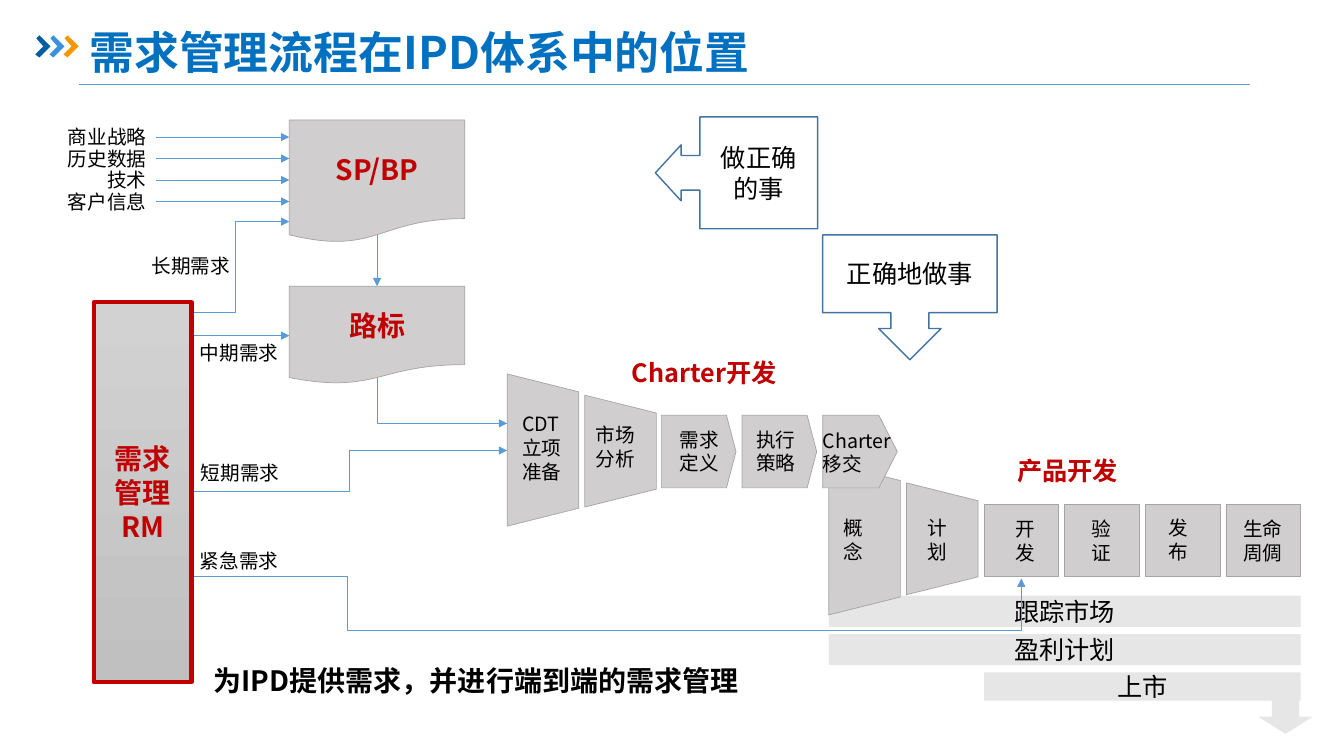
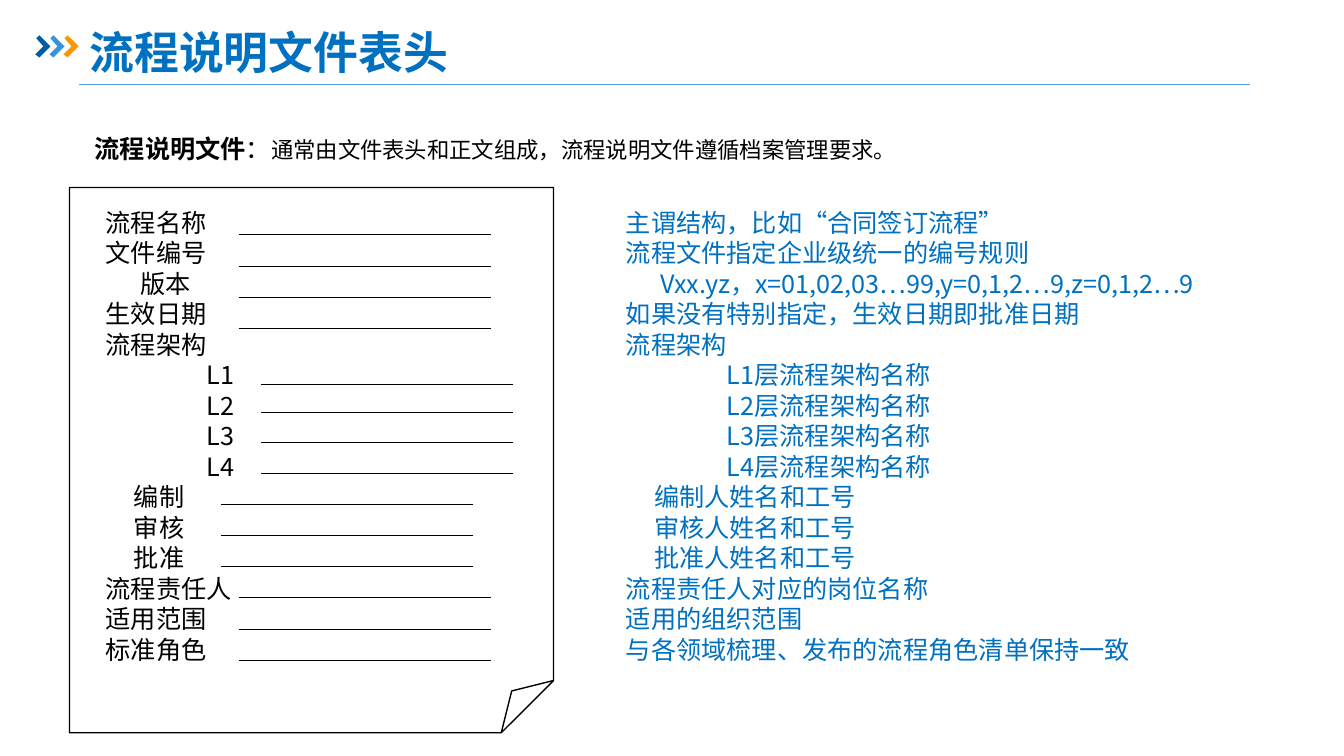
from lxml.etree import SubElement
from pptx import Presentation
from pptx.dml.color import RGBColor
from pptx.enum.shapes import MSO_CONNECTOR as CONN, MSO_SHAPE as SHAPE
from pptx.enum.text import MSO_ANCHOR as ANCHOR, PP_ALIGN as ALIGN
from pptx.oxml.ns import qn
from pptx.util import Inches, Pt

FONT = "Noto Sans CJK SC"
LINE_HEIGHT = 1.21
COLORS = {
    "title": "0070C0", "black": "000000", "red": "C00000", "wire": "5B9BD5",
    "box": "D0CECE", "edge": "A5A5A5", "band": "E7E6E6", "callout": "43739E",
    "grad_top": "D2D2D2", "grad_end": "C0C0C0",
    "chevron_1": "005DA2", "chevron_2": "3992DB", "chevron_3": "F79600",
}
CHEVRON = [(0.36, 0.38), (0.39, 0.35), (0.5, 0.46), (0.39, 0.57), (0.35, 0.54), (0.43, 0.46)]

# Label, note, indent, left and height of the writing line
FIELDS = [
    ("流程名称", "主谓结构，比如“合同签订流程”", 0, 2.37, 2.33),
    ("文件编号", "流程文件指定企业级统一的编号规则", 0, 2.37, 2.64),
    ("版本", "Vxx.yz，x=01,02,03…99,y=0,1,2…9,z=0,1,2…9", 0.34, 2.37, 2.95),
    ("生效日期", "如果没有特别指定，生效日期即批准日期", 0, 2.37, 3.26),
    ("流程架构", "流程架构", 0, None, None),
    ("L1", "L1层流程架构名称", 1, 2.59, 3.81),
    ("L2", "L2层流程架构名称", 1, 2.59, 4.09),
    ("L3", "L3层流程架构名称", 1, 2.59, 4.39),
    ("L4", "L4层流程架构名称", 1, 2.59, 4.7),
    ("编制", "编制人姓名和工号", 0.28, 2.19, 5),
    ("审核", "审核人姓名和工号", 0.28, 2.19, 5.31),
    ("批准", "批准人姓名和工号", 0.28, 2.19, 5.62),
    ("流程责任人", "流程责任人对应的岗位名称", 0, 2.37, 5.93),
    ("适用范围", "适用的组织范围", 0, 2.37, 6.24),
    ("标准角色", "与各领域梳理、发布的流程角色清单保持一致", 0, 2.37, 6.55),
]


def rgb(name):
    return RGBColor.from_string(COLORS[name])


# Text
def write(sp, *paras, size=14, color="black", bold=False, align=ALIGN.LEFT,
          anchor=ANCHOR.TOP, inset=0.1, spacing=1, indents=()):
    """Each paragraph is a string or a list of (text, size, bold) runs."""
    tf = sp.text_frame
    tf.word_wrap = True
    tf.vertical_anchor = anchor
    tf.margin_left = tf.margin_right = Inches(inset)
    tf.margin_top = tf.margin_bottom = Inches(0.05)
    for i, para in enumerate(paras):
        p = tf.add_paragraph() if i else tf.paragraphs[0]
        p.alignment = align
        p.line_spacing = Pt(round(size * LINE_HEIGHT * spacing, 1))
        if indents:
            p._p.get_or_add_pPr().set("marL", str(Inches(indents[i])))
        runs = [(para, size, bold)] if isinstance(para, str) else para
        for content, run_size, run_bold in runs:
            r = p.add_run()
            r.text = content
            r.font.size, r.font.bold, r.font.name = Pt(run_size), run_bold, FONT
            r.font.color.rgb = rgb(color)
            SubElement(r._r.get_or_add_rPr(), qn("a:ea"), typeface=FONT)


def label(s, x, y, w, h, *paras, **fmt):
    write(s.shapes.add_textbox(Inches(x), Inches(y), Inches(w), Inches(h)), *paras, **fmt)


# Shapes
def paint(sp, fill=None, line=None, width=0.5):
    sp.shadow.inherit = False
    if fill:
        sp.fill.solid()
        sp.fill.fore_color.rgb = rgb(fill)
    else:
        sp.fill.background()
    if line:
        sp.line.color.rgb = rgb(line)
        sp.line.width = Pt(width)
    else:
        sp.line.fill.background()


def adjust(sp, values):
    """Write the guides directly, as some presets list none in python-pptx."""
    guides = sp._element.spPr.find(qn("a:prstGeom")).get_or_add_avLst()
    for guide in list(guides):
        guides.remove(guide)
    for i, value in enumerate(values, 1):
        name = f"adj{i}" if len(values) > 1 else "adj"
        SubElement(guides, qn("a:gd"), name=name, fmla=f"val {round(value * 100000)}")


def shape(s, kind, x, y, w, h, fill=None, line=None, width=0.5, adj=(), rotation=0):
    sp = s.shapes.add_shape(kind, Inches(x), Inches(y), Inches(w), Inches(h))
    paint(sp, fill, line, width)
    if adj:
        adjust(sp, adj)
    sp.rotation = rotation
    return sp


def caption(sp, *paras, **fmt):
    write(sp, *paras, align=ALIGN.CENTER, anchor=ANCHOR.MIDDLE, **fmt)


def stage(s, kind, x, y, adj=()):
    shape(s, kind, x, y, 0.74, 0.72, "box", "edge", adj=adj)


def funnel(s, x, y, w):
    shape(s, SHAPE.TRAPEZOID, x, y, w, 0.71, "box", "edge", rotation=90)


def outline(s, points, closed):
    pts = [(Inches(x), Inches(y)) for x, y in points]
    fb = s.shapes.build_freeform(*pts[0])
    fb.add_line_segments(pts[1:], close=closed)
    return fb.convert_to_shape()


# Lines
def arrowhead(sp):
    SubElement(sp.line._get_or_add_ln(), qn("a:tailEnd"), type="triangle")


def connect(s, x1, y1, x2, y2, color="wire", kind=CONN.STRAIGHT, arrow=True):
    c = s.shapes.add_connector(kind, Inches(x1), Inches(y1), Inches(x2), Inches(y2))
    c.line.color.rgb = rgb(color)
    c.line.width = Pt(0.5)
    SubElement(c._element.spPr, qn("a:effectLst"))
    if arrow:
        arrowhead(c)


def route(s, *points):
    sp = outline(s, points, closed=False)
    paint(sp, line="wire")
    arrowhead(sp)


# Shared slide frame
def new_slide(prs, title):
    s = prs.slides.add_slide(prs.slide_layouts[6])
    connect(s, 0.78, 0.84, 12.4, 0.84, arrow=False)
    for i in range(3):
        points = [(x + 0.14 * i, y) for x, y in CHEVRON]
        paint(outline(s, points, closed=True), f"chevron_{i + 1}")
    label(s, 0.79, 0.19, 11.5, 0.59, title, size=32, color="title", bold=True)
    return s


def process_slide(prs):
    s = new_slide(prs, "需求管理流程在IPD体系中的位置")

    # Market bands
    for name, x, y, w, h in [("跟踪市场", 8.22, 5.91, 4.68, 0.31),
                             ("盈利计划", 8.22, 6.29, 4.68, 0.31),
                             ("上市", 9.76, 6.67, 3.14, 0.28)]:
        caption(shape(s, SHAPE.RECTANGLE, x, y, w, h, "band"), name, size=18)
    shape(s, SHAPE.DOWN_ARROW, 12.48, 6.94, 0.54, 0.34, "band")

    # Planning documents
    for name, y, h in [("SP/BP", 1.19, 1.22), ("路标", 2.84, 0.97)]:
        sp = shape(s, SHAPE.FLOWCHART_DOCUMENT, 2.87, y, 1.74, h, "box", "edge")
        caption(sp, name, size=20, color="red", bold=True)

    # Product development and charter stages
    for i in range(4):
        stage(s, SHAPE.RECTANGLE, 9.76 + 0.8 * i, 5)
    funnel(s, 8.79, 4.99, 1.11)
    funnel(s, 7.82, 4.99, 1.51)
    for i, tip in enumerate([0.131, 0.131, 0.254]):
        stage(s, SHAPE.PENTAGON, 6.56 + 0.8 * i, 4.12, [tip])
    funnel(s, 5.6, 4.12, 1.11)
    funnel(s, 4.63, 4.11, 1.51)
    for name, x, y, w in [
        ("CDT立项准备", 5.14, 4.04, 0.6), ("市场分析", 5.87, 4.15, 0.6),
        ("需求定义", 6.7, 4.19, 0.6), ("执行策略", 7.46, 4.19, 0.6),
        ("Charter移交", 8.12, 4.2, 0.87), ("概念", 8.33, 5.07, 0.46),
        ("计划", 9.16, 5.07, 0.46), ("开发", 10.03, 5.08, 0.46),
        ("验证", 10.79, 5.08, 0.46), ("发布", 11.55, 5.07, 0.46),
        ("生命周倜", 12.29, 5.08, 0.61),
    ]:
        label(s, x, y, w, 0.57, name, inset=0.04)
    for name, x, y in [("Charter开发", 6.17, 3.49), ("产品开发", 9.99, 4.47)]:
        label(s, x, y, 2.16, 0.4, name, size=18, color="red", bold=True)

    # Planning inputs
    for i, name in enumerate(["商业战略", "历史数据", "技术", "客户信息"]):
        y = 1.19 + 0.213 * i
        label(s, 0.33, y, 1.22, 0.34, name, align=ALIGN.RIGHT)
        connect(s, 1.55, y + 0.17, 2.87, y + 0.17)

    # Requirement flows
    connect(s, 1.79, 3.1, 2.87, 2.2, kind=CONN.ELBOW)
    connect(s, 1.9, 3.33, 2.87, 3.33)
    connect(s, 1.9, 4.88, 5.03, 4.47, kind=CONN.ELBOW)
    connect(s, 3.74, 2.33, 3.74, 2.84)
    route(s, (1.9, 5.72), (3.45, 5.72), (3.45, 6.25), (10.13, 6.25), (10.13, 5.74))
    route(s, (3.74, 3.75), (3.74, 4.2), (5.03, 4.2))
    for name, x, y in [("长期需求", 1.16, 2.47), ("中期需求", 1.64, 3.33),
                       ("短期需求", 1.65, 4.52), ("紧急需求", 1.64, 5.4)]:
        label(s, x, y, 1.22, 0.34, name, align=ALIGN.RIGHT)

    # Requirement management block
    sp = shape(s, SHAPE.RECTANGLE, 0.93, 3, 0.97, 3.77, "box", "red", 3)
    sp.fill.gradient()
    sp.fill.gradient_angle = 270
    for stop, name in zip(sp.fill.gradient_stops, ["grad_top", "grad_end"]):
        stop.color.rgb = rgb(name)
    caption(sp, "需求管理", "RM", size=20, color="red", bold=True)

    # Callouts and conclusion
    for name, kind, frame, adj in [
        ("做正确的事", SHAPE.LEFT_ARROW_CALLOUT, (6.5, 1.16, 1.61, 1.11),
         (0.31, 0.25, 0.23, 0.726)),
        ("正确地做事", SHAPE.DOWN_ARROW_CALLOUT, (8.16, 2.33, 1.73, 1.24),
         (0.304, 0.25, 0.25, 0.623)),
    ]:
        caption(shape(s, kind, *frame, line="callout", width=1, adj=adj), name, size=18)
    label(s, 2.02, 6.53, 6.02, 0.44, "为IPD提供需求，并进行端到端的需求管理", size=20, bold=True)


def header_slide(prs):
    s = new_slide(prs, "流程说明文件表头")
    shape(s, SHAPE.FOLDED_CORNER, 0.69, 1.86, 4.8, 5.41, line="black", width=1, adj=[0.108])
    label(s, 0.84, 1.12, 11.4, 0.56,
          [("流程说明文件", 18, True), ("：", 18, False),
           ("通常由文件表头和正文组成，流程说明文件遵循档案管理要求。", 16, False)],
          size=18, spacing=1.5)

    # Form fields, explanations and writing lines
    names, notes, indents, lefts, heights = zip(*FIELDS)
    label(s, 0.95, 2, 1.55, 4.64, *names, size=18, indents=indents)
    label(s, 6.11, 2, 6.27, 4.64, *notes, size=18, color="title", indents=indents)
    for x, y in zip(lefts, heights):
        if x is not None:
            connect(s, x, y, x + 2.5, y, color="black", arrow=False)


def main():
    prs = Presentation()
    prs.slide_width, prs.slide_height = Inches(13.33), Inches(7.5)
    process_slide(prs)
    header_slide(prs)
    prs.save("out.pptx")


if __name__ == "__main__":
    main()
